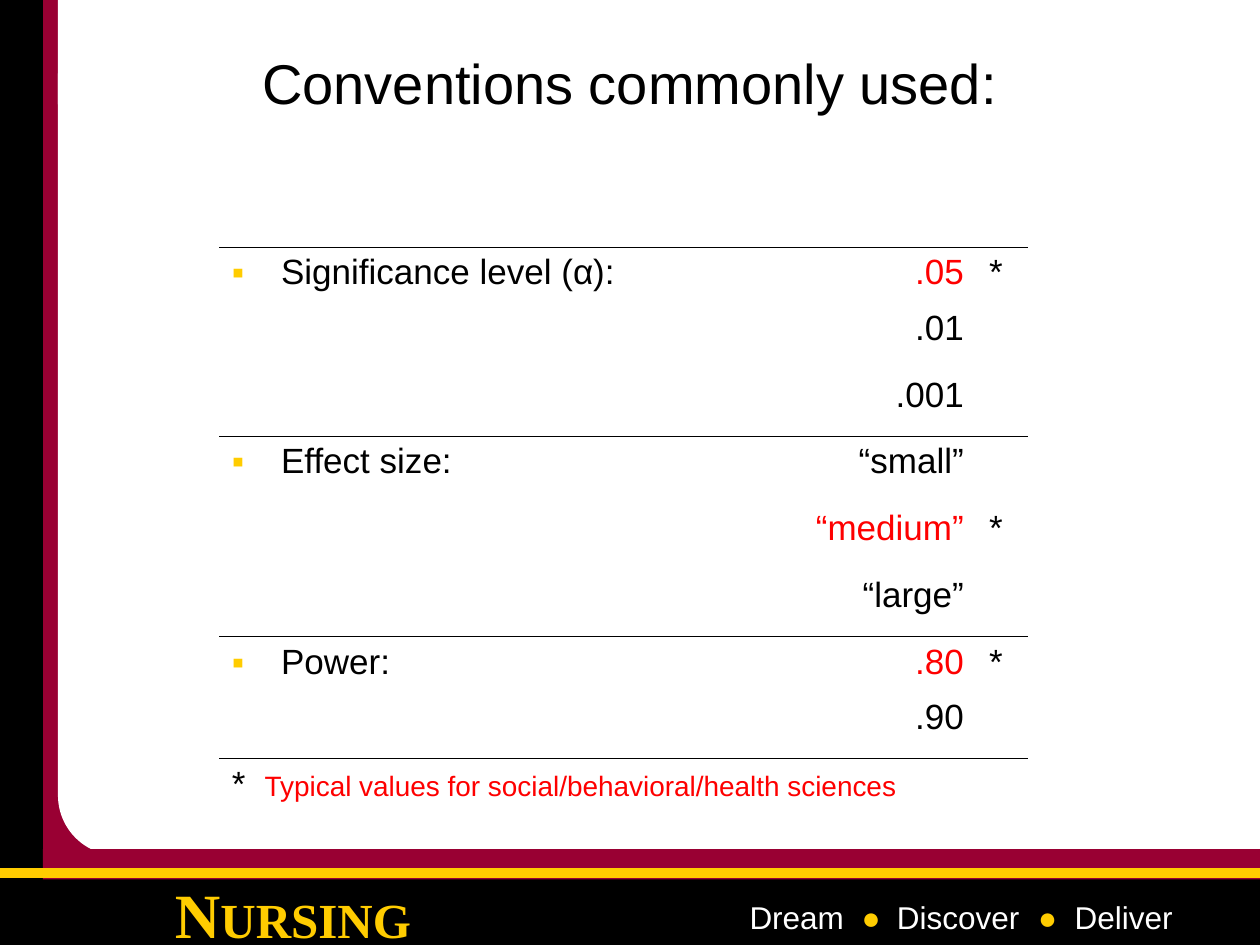
from lxml import etree
from pptx import Presentation
from pptx.dml.color import RGBColor
from pptx.enum.shapes import MSO_CONNECTOR, MSO_SHAPE
from pptx.enum.text import MSO_ANCHOR, PP_ALIGN
from pptx.oxml.ns import qn
from pptx.util import Inches, Pt

RECT, ROUNDED = MSO_SHAPE.RECTANGLE, MSO_SHAPE.ROUNDED_RECTANGLE
LEFT, CENTER, RIGHT = PP_ALIGN.LEFT, PP_ALIGN.CENTER, PP_ALIGN.RIGHT
TOP, MIDDLE = MSO_ANCHOR.TOP, MSO_ANCHOR.MIDDLE
BLACK = RGBColor(0x00, 0x00, 0x00)
WHITE = RGBColor(0xFF, 0xFF, 0xFF)
MAROON = RGBColor(0x99, 0x00, 0x33)
GOLD = RGBColor(0xFF, 0xCC, 0x00)
RED = RGBColor(0xFE, 0x00, 0x00)
W, H = 10, 7.5
NO_STYLE = "{2D5ABB26-0587-4C30-8999-92F81FD0307C}"

# label, value, whether it is the typical choice, whether a rule follows
ROWS = [
    ("Significance level (α):", ".05", True, False),
    ("", ".01", False, False),
    ("", ".001", False, True),
    ("Effect size:", "“small”", False, False),
    ("", "“medium”", True, False),
    ("", "“large”", False, True),
    ("Power:", ".80", True, False),
    ("", ".90", False, True),
]
COLS = (4.33, 1.68, 0.41)
SHORT_ROW, TALL_ROW = 0.44, 0.53


def add_child(parent, tag, **attrs):
    return etree.SubElement(parent, qn(tag), attrs)


def add_run(p, text, size=20, color=BLACK, name="Arial", bold=False):
    r = p.add_run()
    r.text = text
    for key, value in dict(size=Pt(size), name=name, bold=bold).items():
        setattr(r.font, key, value)
    r.font.color.rgb = color


def set_tabs(p, *stops):
    tabs = add_child(p._p.get_or_add_pPr(), "a:tabLst")
    for stop in stops:
        add_child(tabs, "a:tab", pos=str(Inches(stop)), algn="l")


def set_bullet(p, indent):
    pPr = p._p.get_or_add_pPr()
    pPr.set("marL", str(Inches(indent)))
    pPr.set("indent", str(-Inches(indent)))
    add_child(add_child(pPr, "a:buClr"), "a:srgbClr", val=str(GOLD))
    add_child(pPr, "a:buFont", typeface="Arial")
    add_child(pPr, "a:buChar", char="▪")


def add_block(s, box, color, kind=RECT):
    sp = s.shapes.add_shape(kind, *map(Inches, box))
    sp.shadow.inherit = False
    sp.fill.solid()
    sp.fill.fore_color.rgb = color
    sp.line.fill.background()
    return sp


def add_text(s, box, runs, align=LEFT, anchor=TOP):
    tf = s.shapes.add_textbox(*map(Inches, box)).text_frame
    tf.word_wrap = True
    tf.vertical_anchor = anchor
    p = tf.paragraphs[0]
    p.alignment = align
    for text, fmt in runs:
        add_run(p, text, **fmt)
    return p


def add_frame(s, x, y, w, h):
    """Black and maroon bands down the left side, white page with a round corner."""
    add_block(s, (x + 0.32, y, 0.43, h), MAROON)
    add_block(s, (x + 1.04, y + 0.1 * h, w - 1.04, 0.9 * h), WHITE)
    add_block(s, (x, y, 0.34, h), BLACK)
    add_block(s, (x, y + h - 0.54, w, 0.54), BLACK)
    page = add_block(s, (x + 0.46, y + 0.12, 2.81, 6.67), WHITE, ROUNDED)
    page.adjustments[0] = 0.17
    add_block(s, (x + 0.46, y, 0.64, 0.83), WHITE)


def add_footer(s, x, y, w):
    add_text(s, (x + 1.16, y + 0.16, 2.33, 0.63),
             [("N", dict(size=36, color=GOLD, name="Times New Roman", bold=True)),
              ("URSING", dict(size=28, color=GOLD, name="Times New Roman", bold=True))],
             CENTER)
    add_block(s, (x + 0.34, y, w - 0.34, 0.24), MAROON)
    line = s.shapes.add_connector(MSO_CONNECTOR.STRAIGHT, Inches(x), Inches(y + 0.19),
                                  Inches(x + w), Inches(y + 0.19))
    line.line.color.rgb = GOLD
    line.line.width = Pt(6)
    add_child(line._element.spPr, "a:effectLst")
    white, gold = dict(size=18, color=WHITE), dict(size=18, color=GOLD)
    p = add_text(s, (x + 5.85, y + 0.34, 3.99, 0.4),
                 [("Dream\t", white), ("●\t", gold), ("Discover\t", white),
                  ("●\t", gold), ("Deliver", white)])
    set_tabs(p, 0.89, 1.17, 2.29, 2.58)


def rule_cell(cell, side):
    tcPr = cell._tc.get_or_add_tcPr()
    ln = etree.Element(qn("a:" + side), w=str(Pt(0.45)))
    add_child(add_child(ln, "a:solidFill"), "a:srgbClr", val=str(BLACK))
    tcPr.insert(0, ln)


def add_conventions(s, x, y):
    heights = [SHORT_ROW if label and typical else TALL_ROW
               for label, _, typical, _ in ROWS] + [SHORT_ROW]
    frame = s.shapes.add_table(len(heights), len(COLS), Inches(x), Inches(y),
                               Inches(sum(COLS)), Inches(sum(heights)))
    table = frame.table
    table.first_row = table.horz_banding = False
    table._tbl.tblPr.find(qn("a:tableStyleId")).text = NO_STYLE
    for column, width in zip(table.columns, COLS):
        column.width = Inches(width)
    for row, height in zip(table.rows, heights):
        row.height = Inches(height)
        for cell in row.cells:
            cell.fill.background()

    for i, (label, value, typical, ruled) in enumerate(ROWS):
        cells = table.rows[i].cells
        name, number, mark = [cell.text_frame.paragraphs[0] for cell in cells]
        if label:
            set_bullet(name, 0.39)
            add_run(name, label)
        number.alignment = RIGHT
        add_run(number, value, color=RED if typical else BLACK)
        if typical:
            add_run(mark, "*")
        for cell in cells:
            if ruled:
                rule_cell(cell, "lnB")
            if i == 0:
                rule_cell(cell, "lnT")

    last = len(ROWS)
    note = table.cell(last, 0)
    note.merge(table.cell(last, len(COLS) - 1))
    p = note.text_frame.paragraphs[0]
    set_tabs(p, 0.26)
    add_run(p, "*\t")
    add_run(p, "Typical values for social/behavioral/health sciences", 16, RED)


def main():
    prs = Presentation()
    prs.slide_width, prs.slide_height = Inches(W), Inches(H)
    s = prs.slides.add_slide(prs.slide_layouts[6])
    add_frame(s, 0, 0, W, H)
    add_footer(s, 0, 6.74, W)
    add_text(s, (0.75, 0.33, 0.85 * W, 0.65),
             [("Conventions commonly used:", dict(size=32))], CENTER, MIDDLE)
    add_conventions(s, 1.74, 1.96)
    prs.save("out.pptx")


if __name__ == "__main__":
    main()
